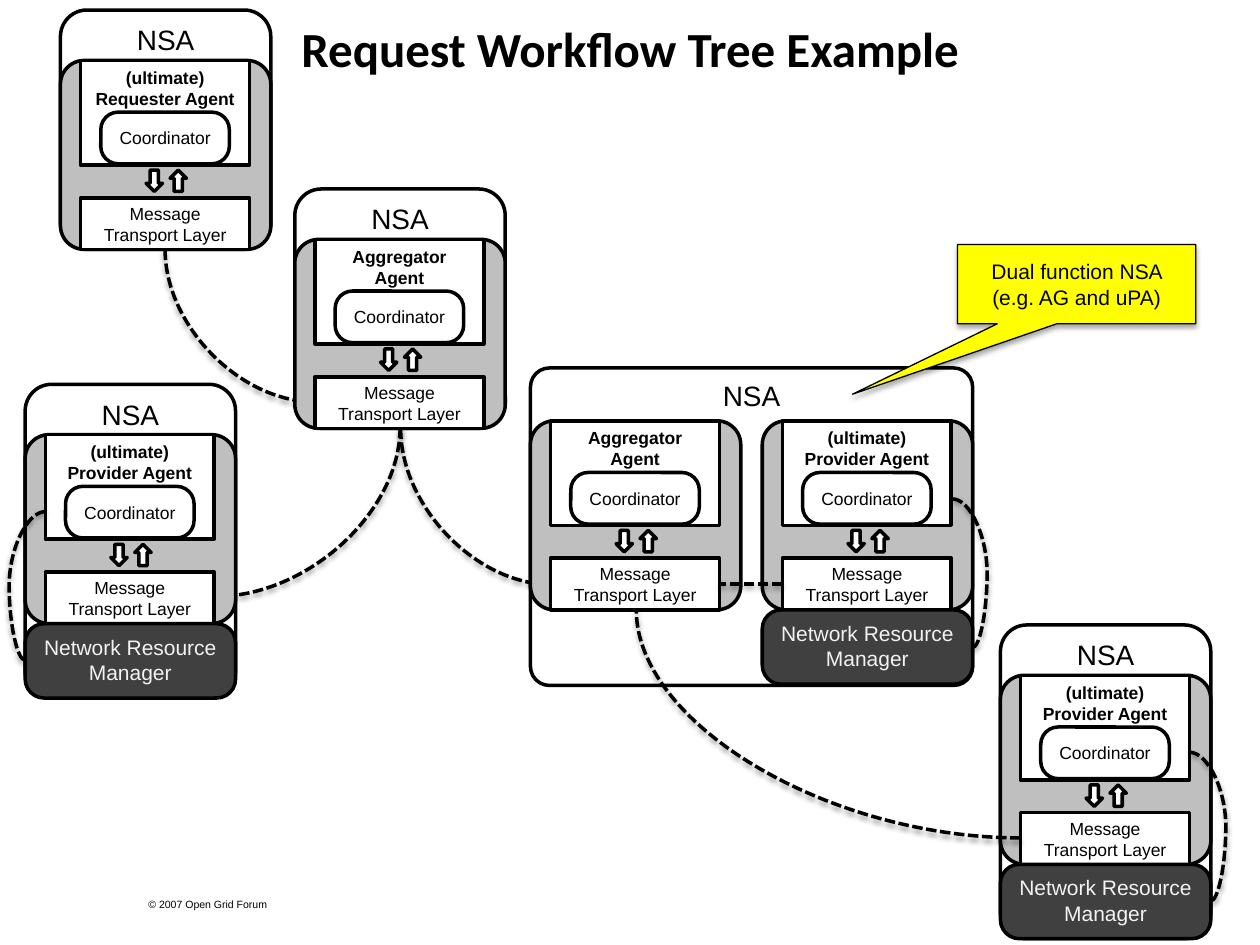
from lxml.etree import SubElement
from pptx import Presentation
from pptx.dml.color import RGBColor
from pptx.enum.dml import MSO_LINE
from pptx.enum.shapes import MSO_CONNECTOR, MSO_SHAPE
from pptx.enum.text import MSO_ANCHOR, PP_ALIGN
from pptx.oxml.ns import qn
from pptx.util import Inches, Pt

COLORS = {
    "ink": "000000",
    "paper": "FFFFFF",
    "band": "BFBFBF",
    "manager": "404040",
    "manager_text": "F2F2F2",
    "callout": "FFFF00",
}
AGENT_WIDTH, AGENT_HEIGHT = 1.67, 1.5
HEADER_HEIGHT, MANAGER_HEIGHT = 0.4, 0.59


def color(name):
    return RGBColor.from_string(COLORS[name])


def write(shape, text, size, ink="ink", font="Arial", bold=False,
          anchor=MSO_ANCHOR.MIDDLE, align=PP_ALIGN.CENTER, inset=None):
    frame = shape.text_frame
    settings = {"word_wrap": True, "vertical_anchor": anchor}
    if inset is not None:
        for side in ("left", "top", "right", "bottom"):
            settings[f"margin_{side}"] = Inches(inset)
    for name, value in settings.items():
        setattr(frame, name, value)
    para = frame.paragraphs[0]
    para.alignment = align
    span = para.add_run()
    span.text = text
    for name, value in {"name": font, "size": Pt(size), "bold": bold}.items():
        setattr(span.font, name, value)
    span.font.color.rgb = color(ink)


def add_box(page, kind, place, fill="paper", adjustments=(), line_width=2):
    box = page.shapes.add_shape(kind, *map(Inches, place))
    box.shadow.inherit = False
    box.fill.solid()
    box.fill.fore_color.rgb = color(fill)
    box.line.color.rgb = color("ink")
    box.line.width = Pt(line_width)
    for index, value in enumerate(adjustments):
        box.adjustments[index] = value
    return box


def add_shadow(shape, opacity):
    properties = shape.element.spPr
    effects = properties.find(qn("a:effectLst"))
    if effects is None:
        effects = SubElement(properties, qn("a:effectLst"))
    shadow = SubElement(effects, qn("a:outerShdw"), blurRad=str(Pt(3.1)),
                        dist=str(Pt(1.7)), dir="5400000", rotWithShape="0")
    tint = SubElement(shadow, qn("a:srgbClr"), val=COLORS["ink"])
    SubElement(tint, qn("a:alpha"), val=str(opacity * 1000))


def add_dashed(page, kind, left, top, width, height):
    link = page.shapes.add_connector(
        kind, *map(Inches, (left, top, left + width, top + height)))
    link.line.color.rgb = color("ink")
    link.line.width = Pt(2)
    link.line.dash_style = MSO_LINE.SQUARE_DOT
    add_shadow(link, 38)
    return link


def add_curve(page, place, rotation=0, flip=None, bulge=None):
    properties = add_dashed(page, MSO_CONNECTOR.CURVE, *place).element.spPr
    frame = properties.find(qn("a:xfrm"))
    frame.set("rot", str(rotation * 60000))
    if flip:
        frame.set(flip, "1")
    geometry = properties.find(qn("a:prstGeom"))
    if bulge is None:
        geometry.set("prst", "curvedConnector2")
    else:
        SubElement(geometry.find(qn("a:avLst")), qn("a:gd"),
                   name="adj1", fmla=f"val {round(bulge * 100000)}")


def add_frame(page, left, top, width, height, rounding=0.126):
    frame = add_box(page, MSO_SHAPE.ROUNDED_RECTANGLE,
                    (left, top, width, height), adjustments=[rounding])
    write(frame, "NSA", 16, anchor=MSO_ANCHOR.TOP, inset=0.04)


def add_agent(page, left, top, role):
    add_box(page, MSO_SHAPE.ROUNDED_RECTANGLE,
            (left, top, AGENT_WIDTH, AGENT_HEIGHT), "band", [0.126])
    role_box = add_box(page, MSO_SHAPE.RECTANGLE, (left + 0.16, top, 1.34, 0.83))
    write(role_box, role, 10, bold=True, anchor=MSO_ANCHOR.TOP)
    message = add_box(page, MSO_SHAPE.RECTANGLE,
                      (left + 0.16, top + 1.09, 1.34, 0.41))
    write(message, "Message Transport Layer", 10)
    for kind, offset in ((MSO_SHAPE.DOWN_ARROW, 0.68), (MSO_SHAPE.UP_ARROW, 0.87)):
        add_box(page, kind, (left + offset, top + 0.87, 0.13, 0.17))
    coordinator = add_box(page, MSO_SHAPE.ROUNDED_RECTANGLE,
                          (left + 0.32, top + 0.41, 1.02, 0.41),
                          adjustments=[0.337])
    write(coordinator, "Coordinator", 10)
    return message


def add_manager(page, left, agent_top):
    manager = add_box(page, MSO_SHAPE.ROUNDED_RECTANGLE,
                      (left, agent_top + AGENT_HEIGHT, AGENT_WIDTH, MANAGER_HEIGHT),
                      "manager", [0.255])
    write(manager, "Network Resource Manager", 12, "manager_text",
          anchor=MSO_ANCHOR.TOP, inset=0.04)


def add_single(page, left, top, role, managed=False):
    height = HEADER_HEIGHT + AGENT_HEIGHT + MANAGER_HEIGHT * managed
    add_frame(page, left, top, AGENT_WIDTH, height)
    add_agent(page, left, top + HEADER_HEIGHT, role)
    if managed:
        add_manager(page, left, top + HEADER_HEIGHT)


def add_dual(page):
    add_frame(page, 4.21, 2.92, 3.51, 2.52, 0.06)
    provider = add_agent(page, 6.05, 3.34, "(ultimate) Provider Agent")
    aggregator = add_agent(page, 4.21, 3.34, "Aggregator Agent")
    link = add_dashed(page, MSO_CONNECTOR.STRAIGHT, 5.72, 4.64, 0.49, 0)
    link.begin_connect(provider, 1)
    link.end_connect(aggregator, 3)
    add_manager(page, 6.05, 3.34)
    add_curve(page, (7.56, 3.96, 0.16, 1.18), bulge=1.72)


def add_title(page):
    title = page.shapes.title
    place = {"left": 0.5, "top": 0, "width": 9, "height": 0.76}
    for name, value in place.items():
        setattr(title, name, Inches(value))
    write(title, "Request Workflow Tree Example", 28, font="Calibri", bold=True)


def add_callout(page):
    callout = add_box(page, MSO_SHAPE.RECTANGULAR_CALLOUT, (7.6, 1.94, 1.89, 0.63),
                      "callout", [-0.941, 1.387], 0.75)
    add_shadow(callout, 35)
    write(callout, "Dual function NSA (e.g. AG and uPA)", 12)


def add_copyright(page):
    box = page.shapes.add_textbox(*map(Inches, (1.08, 7.08, 1.5, 0.2)))
    write(box, "© 2007 Open Grid Forum", 6, align=PP_ALIGN.LEFT,
          anchor=MSO_ANCHOR.TOP)


def main():
    deck = Presentation()
    deck.slide_width, deck.slide_height = Inches(10), Inches(7.5)
    page = deck.slides.add_slide(deck.slide_layouts[5])
    add_title(page)
    add_copyright(page)
    add_curve(page, (1.3, 1.99, 1.21, 1.19), 270, "flipH")
    add_curve(page, (3.16, 3.42, 1.24, 1.2), 270, "flipH")
    add_curve(page, (1.77, 3.33, 1.34, 1.47), 90)
    add_single(page, 7.94, 4.96, "(ultimate) Provider Agent", True)
    add_curve(page, (9.44, 5.97, 0.17, 1.18), bulge=1.7)
    add_single(page, 0.48, 0.08, "(ultimate) Requester Agent")
    add_dual(page)
    add_single(page, 2.34, 1.5, "Aggregator Agent")
    add_single(page, 0.2, 3.05, "(ultimate) Provider Agent", True)
    add_curve(page, (0.2, 4.06, 0.16, 1.18), 180, "flipV", 1.8)
    add_curve(page, (5.05, 4.84, 3.05, 1.81), 180)
    add_callout(page)
    deck.save("out.pptx")


if __name__ == "__main__":
    main()
